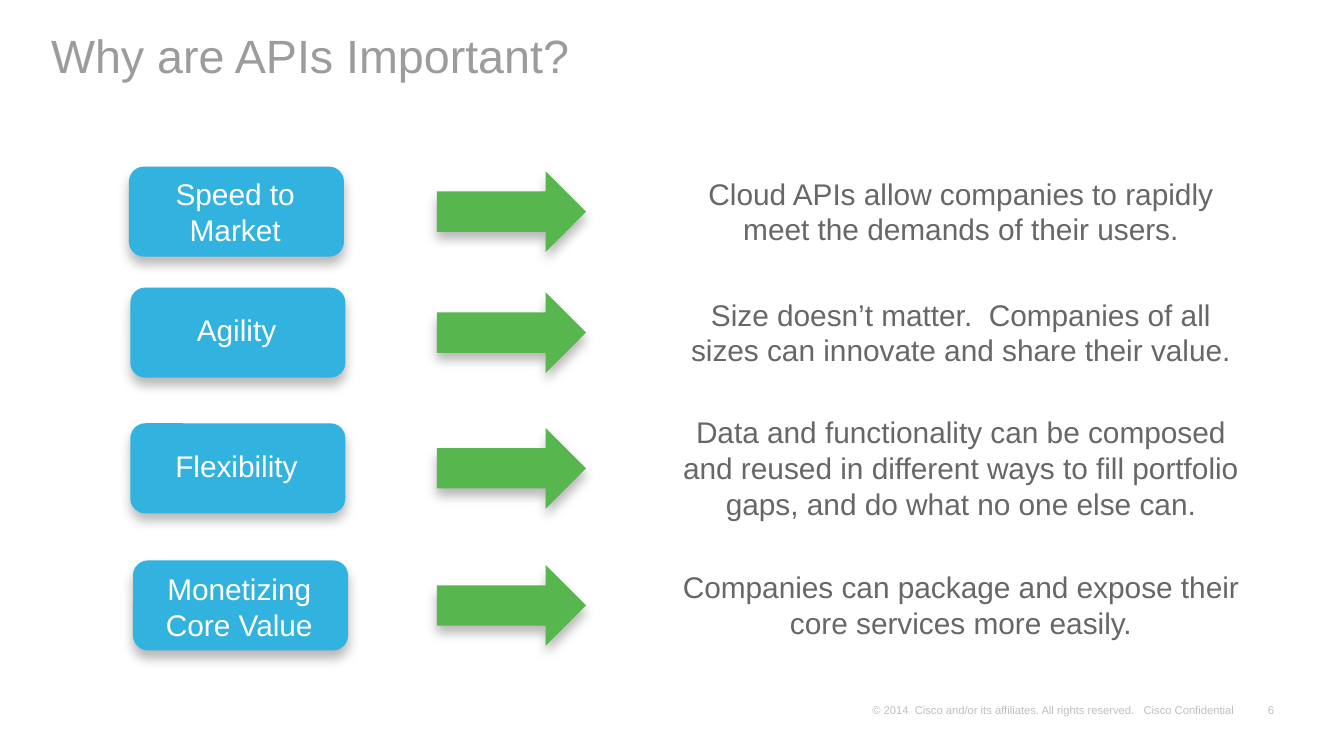
from lxml import etree
from pptx import Presentation
from pptx.dml.color import RGBColor
from pptx.enum.shapes import MSO_SHAPE as Shape
from pptx.enum.text import MSO_ANCHOR as Anchor, MSO_AUTO_SIZE as Fit, PP_ALIGN as Align
from pptx.oxml.ns import qn
from pptx.util import Inches, Pt

BLUE = RGBColor(0x32, 0xB2, 0xDF)
GREEN = RGBColor(0x57, 0xB7, 0x4E)
WHITE = RGBColor(0xFF, 0xFF, 0xFF)
TITLE = RGBColor(0x9C, 0x9C, 0x9C)
BODY = RGBColor(0x67, 0x67, 0x67)
FOOT = RGBColor(0xBF, 0xBF, 0xBF)

BOX_H, ARROW_H = 0.67, 0.6
TEXT_MID = 7.15

ROWS = [
    (0.96, 1.24, (1.26, 0.64, "Speed to Market"), (4.12, 0.64,
     "Cloud APIs allow companies to rapidly meet the demands of their users.")),
    (0.97, 2.14, (2.27, 0.37, "Agility"), (4.35, 0.64,
     "Size doesn’t matter.  Companies of all sizes can innovate and share their value.")),
    (0.97, 3.15, (3.28, 0.37, "Flexibility"), (4.35, 0.91,
     "Data and functionality can be composed and reused in different ways "
     "to fill portfolio gaps, and do what no one else can.")),
    (0.99, 4.17, (4.2, 0.64, "Monetizing Core Value"), (4.35, 0.64,
     "Companies can package and expose their core services more easily.")),
]


def write(frame, text, size, color, align, anchor=Anchor.TOP):
    """Put one formatted run into a text frame."""
    frame.word_wrap = True
    frame.vertical_anchor = anchor
    par = frame.paragraphs[0]
    par.alignment = align
    run = par.add_run()
    run.text = text
    run.font.name = "Arial"
    run.font.size = Pt(size)
    run.font.color.rgb = color
    return par


def add_shadow(shape):
    """Give a shape a soft shadow that falls straight down."""
    shape.shadow.inherit = False
    effects = shape._element.spPr.find(qn("a:effectLst"))
    outer = etree.SubElement(effects, qn("a:outerShdw"), blurRad=str(Pt(6)),
                             dist=str(Pt(4)), dir="5400000", algn="t", rotWithShape="0")
    black = etree.SubElement(outer, qn("a:srgbClr"), val="000000")
    etree.SubElement(black, qn("a:alpha"), val="27000")


def add_block(shapes, kind, x, y, w, h, color):
    """Add a filled shape without outline."""
    block = shapes.add_shape(kind, Inches(x), Inches(y), Inches(w), Inches(h))
    block.fill.solid()
    block.fill.fore_color.rgb = color
    block.line.fill.background()
    add_shadow(block)


def add_text(shapes, x, y, w, h):
    """Add a text box and return its frame."""
    return shapes.add_textbox(Inches(x), Inches(y), Inches(w), Inches(h)).text_frame


def add_row(slide, x, y, label, note):
    """Add a labelled box, an arrow and its explanation as one group."""
    shapes = slide.shapes.add_group_shape().shapes
    mid = y + BOX_H / 2
    add_block(shapes, Shape.ROUNDED_RECTANGLE, x, y, 1.6, BOX_H, BLUE)
    top, tall, text = label
    frame = add_text(shapes, x - 0.02, top, 1.62, tall)
    write(frame, text, 16, WHITE, Align.CENTER)
    add_block(shapes, Shape.RIGHT_ARROW, 3.25, mid - ARROW_H / 2, 1.11, ARROW_H, GREEN)
    wide, tall, text = note
    frame = add_text(shapes, TEXT_MID - wide / 2, mid - tall / 2, wide, tall)
    write(frame, text, 16, BODY, Align.CENTER)


def add_title(slide, text):
    """Place and fill the title placeholder."""
    title = slide.shapes.title
    title.left, title.top = Inches(0.28), Inches(0.23)
    title.width, title.height = Inches(9.47), Inches(0.8)
    par = write(title.text_frame, text, 25, TITLE, Align.LEFT)
    par.line_spacing = 0.8
    title.text_frame.auto_size = Fit.NONE


def add_foot(slide, x, w, text, align, wrap):
    """Add a small piece of footer text."""
    frame = add_text(slide.shapes, x, 5.19, w, 0.17)
    frame.margin_left = frame.margin_right = Inches(0.07)
    frame.margin_top = frame.margin_bottom = Inches(0.03)
    write(frame, text, 6, FOOT, align, Anchor.BOTTOM)
    frame.word_wrap = wrap


def main():
    """Build and save the slide."""
    deck = Presentation()
    deck.slide_width = Inches(10)
    deck.slide_height = deck.slide_width * 9 // 16
    slide = deck.slides.add_slide(deck.slide_layouts[5])
    add_foot(slide, 9.31, 0.24, "6", Align.RIGHT, False)
    add_foot(slide, 6.42, 2.91,
             "© 2014  Cisco and/or its affiliates. All rights reserved.   Cisco Confidential",
             Align.LEFT, True)
    add_title(slide, "Why are APIs Important?")
    for row in ROWS:
        add_row(slide, *row)
    deck.save("out.pptx")


if __name__ == "__main__":
    main()
